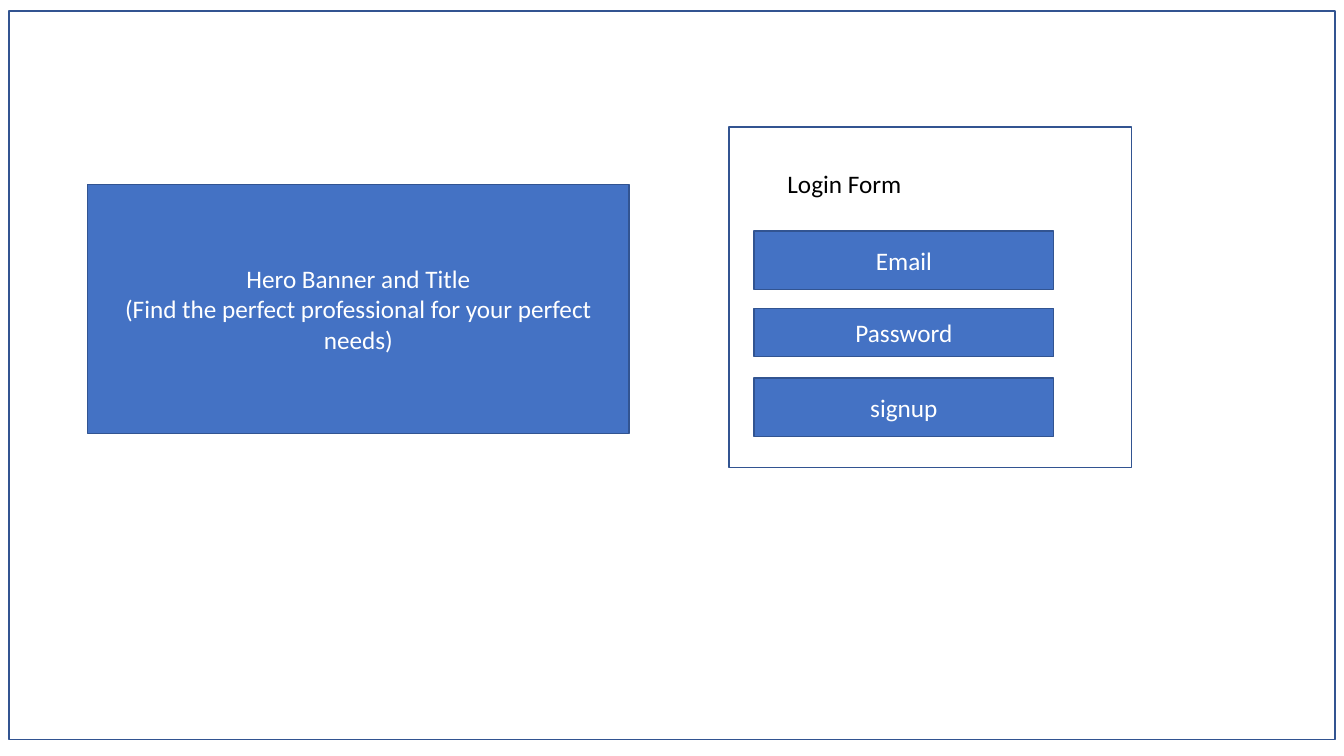
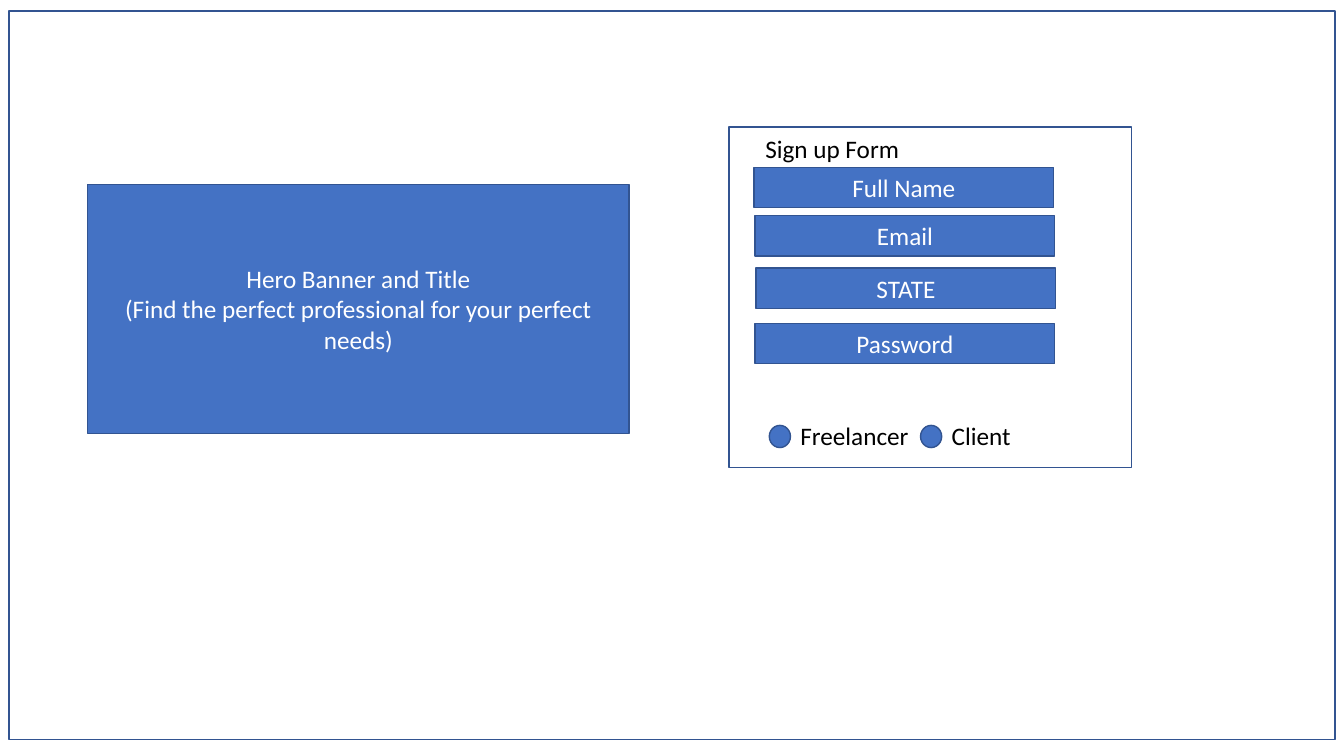
import dataclasses

import pptx
import pptx.dml.color
import pptx.enum.shapes
import pptx.enum.text
import pptx.util

Inches = pptx.util.Inches
RGBColor = pptx.dml.color.RGBColor
MSO_SHAPE = pptx.enum.shapes.MSO_SHAPE
PP_ALIGN = pptx.enum.text.PP_ALIGN
MSO_ANCHOR = pptx.enum.text.MSO_ANCHOR
MSO_AUTO_SIZE = pptx.enum.text.MSO_AUTO_SIZE


@dataclasses.dataclass(frozen=True)
class Theme:
    """Colours and type shared by the wireframes."""

    fill: RGBColor = RGBColor(0x44, 0x72, 0xC4)
    outline: RGBColor = RGBColor(0x32, 0x54, 0x91)
    dark: RGBColor = RGBColor(0, 0, 0)
    light: RGBColor = RGBColor(0xFF, 0xFF, 0xFF)
    font: str = "Calibri"
    size: pptx.util.Pt = pptx.util.Pt(18)
    line_width: pptx.util.Pt = pptx.util.Pt(1)


THEME = Theme()
FIELD_WIDTH = 2.97
LABEL_HEIGHT = 0.4
HERO_LINES = (
    "Hero Banner and Title",
    "(Find the perfect professional for your perfect needs)",
)


def write_lines(frame, lines, color, align):
    """Write each line as one paragraph with one formatted run."""
    for index, line in enumerate(lines):
        paragraph = frame.add_paragraph() if index else frame.paragraphs[0]
        paragraph.alignment = align
        run = paragraph.add_run()
        run.text = line
        run.font.name = THEME.font
        run.font.size = THEME.size
        run.font.color.rgb = color


def add_block(slide, box, lines=(), filled=True, kind=MSO_SHAPE.RECTANGLE):
    """Add an outlined shape, filled or open, with centred text."""
    block = slide.shapes.add_shape(kind, *map(Inches, box))
    block.shadow.inherit = False
    block.line.color.rgb = THEME.outline
    block.line.width = THEME.line_width
    if filled:
        block.fill.solid()
        block.fill.fore_color.rgb = THEME.fill
    else:
        block.fill.background()
    if lines:
        block.text_frame.word_wrap = True
        block.text_frame.vertical_anchor = MSO_ANCHOR.MIDDLE
        write_lines(block.text_frame, lines, THEME.light, PP_ALIGN.CENTER)


def set_heading(slide, text, left, top):
    """Place the slide title as the heading of the form."""
    heading = slide.shapes.title
    heading.left, heading.top = Inches(left), Inches(top)
    heading.width, heading.height = Inches(3.54), Inches(LABEL_HEIGHT)
    frame = heading.text_frame
    frame.word_wrap = True
    frame.auto_size = MSO_AUTO_SIZE.NONE
    frame.vertical_anchor = MSO_ANCHOR.TOP
    write_lines(frame, [text], THEME.dark, PP_ALIGN.LEFT)


def add_page(deck, heading, left, top):
    """Add a page with its frame, form panel, heading and hero banner."""
    slide = deck.slides.add_slide(deck.slide_layouts[5])
    add_block(slide, (0.09, 0.11, 13.15, 7.23), filled=False)
    add_block(slide, (7.23, 1.26, 3.99, 3.38), filled=False)
    set_heading(slide, heading, left, top)
    add_block(slide, (0.87, 1.83, 5.37, 2.47), HERO_LINES)
    return slide


def add_fields(slide, fields):
    """Add form fields given as label, left, top and height."""
    for label, left, top, height in fields:
        add_block(slide, (left, top, FIELD_WIDTH, height), [label])


def add_option(slide, label, left, width):
    """Add a radio button with its label to the right."""
    button_width = 0.21
    add_block(slide, (left, 4.22, button_width, 0.22), kind=MSO_SHAPE.OVAL)
    caption = slide.shapes.add_textbox(
        Inches(left + button_width), Inches(4.12),
        Inches(width), Inches(LABEL_HEIGHT))
    caption.text_frame.word_wrap = False
    caption.text_frame.auto_size = MSO_AUTO_SIZE.SHAPE_TO_FIT_TEXT
    write_lines(caption.text_frame, [label], THEME.dark, PP_ALIGN.LEFT)


def main():
    """Build the login and sign-up wireframes."""
    deck = pptx.Presentation()
    deck.slide_width, deck.slide_height = Inches(13.33), Inches(7.5)

    login = add_page(deck, "Login Form", 7.71, 1.62)
    add_fields(login, [
        ("Email", 7.48, 2.29, 0.58),
        ("Password", 7.48, 3.06, 0.48),
        ("signup", 7.48, 3.75, 0.58),
    ])

    signup = add_page(deck, "Sign up Form", 7.49, 1.27)
    add_fields(signup, [
        ("Full Name", 7.48, 1.66, LABEL_HEIGHT),
        ("Email", 7.49, 2.14, LABEL_HEIGHT),
        ("STATE", 7.5, 2.66, LABEL_HEIGHT),
        ("Password", 7.49, 3.21, LABEL_HEIGHT),
    ])
    add_option(signup, "Freelancer", 7.63, 1.29)
    add_option(signup, "Client", 9.13, 0.79)

    deck.save("out.pptx")


main()
